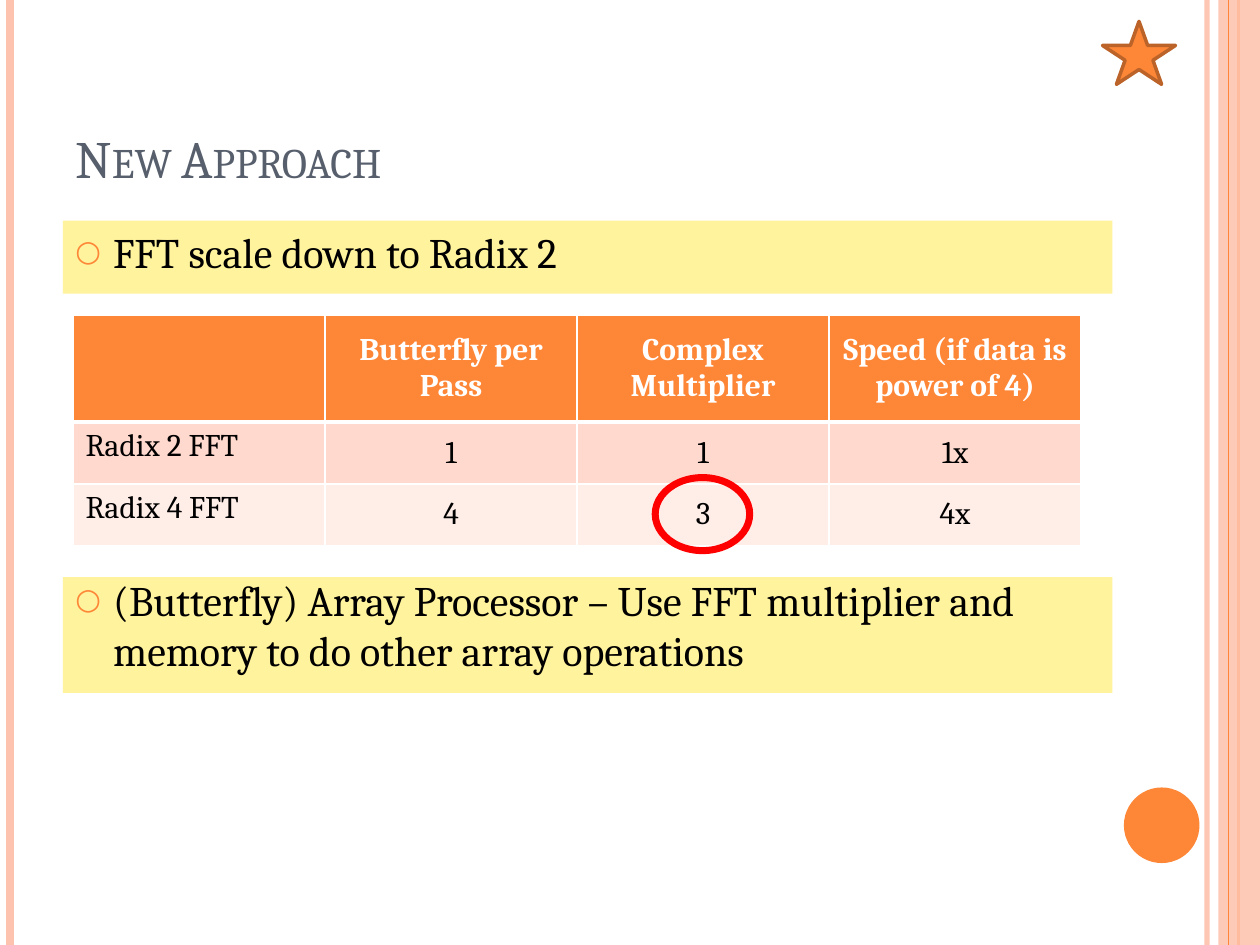
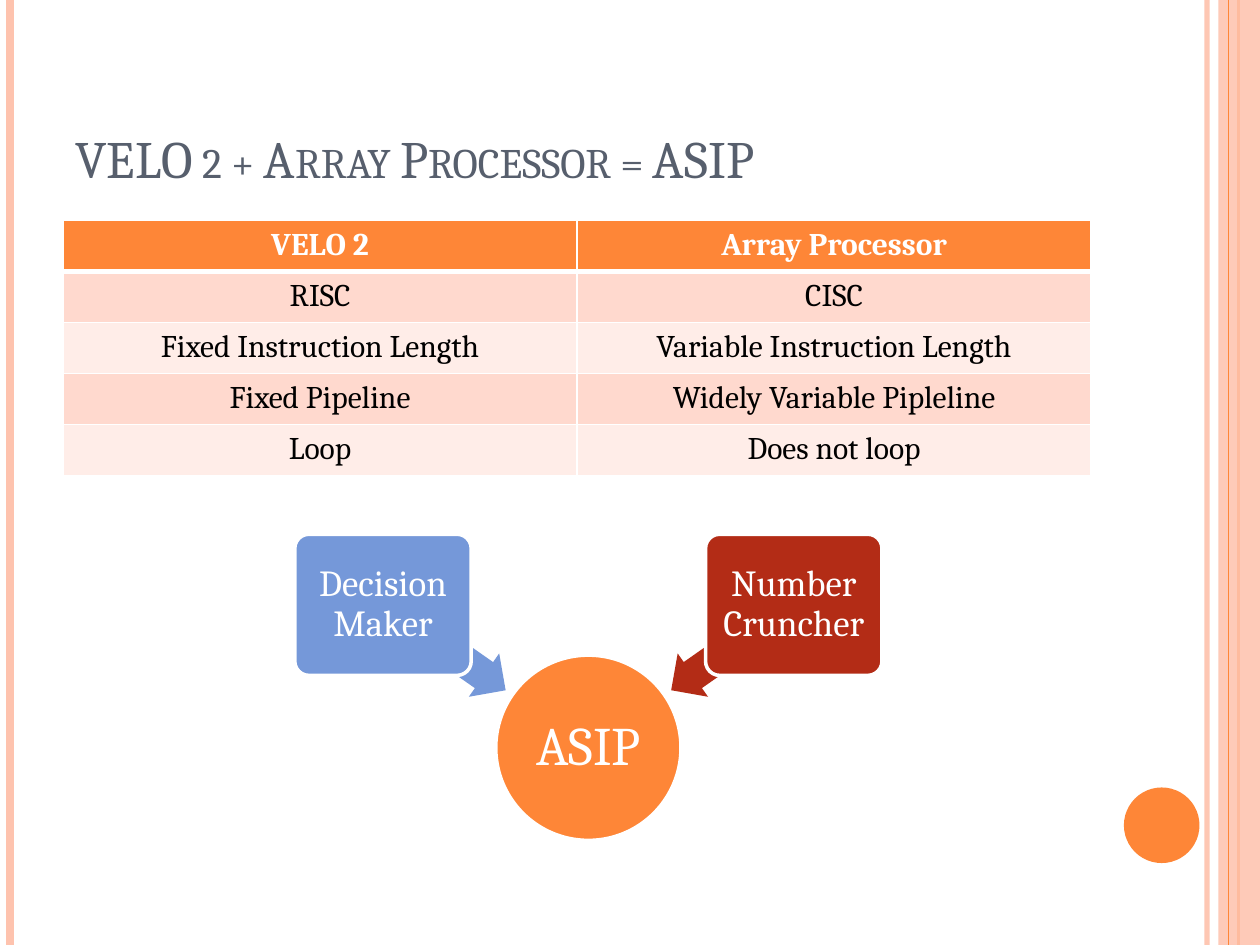
from dataclasses import dataclass

from lxml import etree
from pptx import Presentation
from pptx.dml.color import RGBColor
from pptx.enum import shapes as kinds, text as txt
from pptx.oxml.ns import qn
from pptx.util import Inches, Pt


@dataclass(frozen=True)
class Theme:
    font: str = "Cambria"
    orange: str = "FE8637"
    peach: str = "FEC3AE"
    yellow: str = "FFF39D"
    slate: str = "575F6D"
    blue: str = "7598D9"
    brick: str = "B32C16"
    rust: str = "BC6329"
    red: str = "FF0000"
    white: str = "FFFFFF"
    black: str = "000000"
    rows: tuple = ("FFD9CE", "FFEDE8")
    title: int = 30
    body: int = 24
    cell: int = 18
    hub: int = 31
    box: int = 21


T = Theme()
A = txt.PP_ALIGN
V = txt.MSO_ANCHOR
S = kinds.MSO_SHAPE

# Content
TITLES = ["New Approach", "VELO 2 + Array Processor = ASIP"]
# words, band top, band height, text top
POINTS = [
    ("FFT scale down to Radix 2", 1.75, 0.58, 1.75),
    ("(Butterfly) Array Processor – Use FFT multiplier and memory "
     "to do other array operations", 4.58, 0.92, 4.51),
]
RADIX = [
    ["", "Butterfly per Pass", "Complex Multiplier",
     "Speed (if data is power of 4)"],
    ["Radix 2 FFT", "1", "1", "1x"],
    ["Radix 4 FFT", "4", "3", "4x"],
]
CHIPS = [
    ["VELO 2", "Array Processor"],
    ["RISC", "CISC"],
    ["Fixed Instruction Length", "Variable Instruction Length"],
    ["Fixed Pipeline", "Widely Variable Pipleline"],
    ["Loop", "Does not loop"],
]
# words, colour, side of the hub, arrow turn
INPUTS = [("Decision Maker", T.blue, -1, 215),
          ("Number Cruncher", T.brick, 1, 325)]
HUB = "ASIP"
# x, colour, width, opacity
RAILS = [(9.58, T.peach, 3, 93), (0.08, T.peach, 4.5, 100),
         (9.83, T.orange, 1.5, 100), (9.75, T.orange, 0.75, 100)]


def rgb(tone):
    return RGBColor.from_string(tone)


def fade(part, pct):
    """Set the opacity of the first colour in a part."""
    if pct < 100:
        tone = next(part.element.iter(qn("a:srgbClr")))
        etree.SubElement(tone, qn("a:alpha"), val=str(pct * 1000))


def put(frame, words, size, tone=T.black, bold=False, align=A.LEFT,
        anchor=V.TOP, inset=None, space=None, small=False, bullet=False):
    """Write words into a text frame or a table cell."""
    cell = not hasattr(frame, "word_wrap")
    body = frame.text_frame if cell else frame
    frame.vertical_anchor = anchor
    if not cell:
        body.word_wrap = True
        body.auto_size = txt.MSO_AUTO_SIZE.NONE
    if inset is not None:
        body.margin_left = body.margin_right = Inches(inset)
        body.margin_top = body.margin_bottom = Inches(inset)
    par = body.paragraphs[0]
    par.alignment = align
    if space:
        par.line_spacing = space
    if bullet:
        mark(par)
    if not words:
        return
    run = par.add_run()
    run.text = words
    font = run.font
    font.name, font.size, font.bold = T.font, Pt(size), bold
    font.color.rgb = rgb(tone)
    if small:
        font._element.set("cap", "small")


def mark(par):
    """Give a paragraph a hanging ring bullet."""
    ppr = par._p.get_or_add_pPr()
    ppr.set("marL", str(Inches(0.3)))
    ppr.set("indent", str(-Inches(0.3)))
    tone = etree.SubElement(ppr, qn("a:buClr"))
    etree.SubElement(tone, qn("a:srgbClr"), val=T.orange)
    etree.SubElement(ppr, qn("a:buSzPct"), val="70000")
    etree.SubElement(ppr, qn("a:buFont"), typeface=T.font)
    etree.SubElement(ppr, qn("a:buChar"), char="○")


def draw(slide, kind, x, y, w, h, fill=None, line=None, width=1):
    part = slide.shapes.add_shape(kind, *map(Inches, (x, y, w, h)))
    part.shadow.inherit = False
    if fill:
        part.fill.solid()
        part.fill.fore_color.rgb = rgb(fill)
    else:
        part.fill.background()
    if line:
        part.line.color.rgb = rgb(line)
        part.line.width = Pt(width)
    else:
        part.line.fill.background()
    return part


def rail(slide, x, tone, width, pct):
    part = slide.shapes.add_connector(
        kinds.MSO_CONNECTOR.STRAIGHT, Inches(x), 0, Inches(x), Inches(7.5))
    part.line.color.rgb = rgb(tone)
    part.line.width = Pt(width)
    fade(part, pct)
    etree.SubElement(part.element.spPr, qn("a:effectLst"))
    return part


def frame(slide, layout):
    """Draw the shared side rails and disc, and move them to the layout."""
    parts = [rail(slide, *item) for item in RAILS]
    band = draw(slide, S.RECTANGLE, 9.67, 0, 0.33, 7.5, T.peach)
    fade(band, 87)
    parts.insert(3, band)
    parts.append(draw(slide, S.OVAL, 8.92, 6.25, 0.6, 0.6, T.orange))
    for n, part in enumerate(parts):
        next(part.element.iter(qn("p:cNvPr"))).set("id", str(100 + n))
        layout.shapes.element.insert(2 + n, part.element)


def head(slide, words):
    title = slide.shapes.title
    title.left, title.top = Inches(0.5), Inches(0.3)
    title.width, title.height = Inches(8.17), Inches(1.25)
    put(title.text_frame, words, T.title, T.slate, anchor=V.BOTTOM,
        small=True)


def edge(cell, top, base):
    """Draw white cell borders; top and base are widths in points."""
    props = cell._tc.get_or_add_tcPr()
    for side, width in (("L", 1), ("R", 1), ("T", top), ("B", base)):
        line = etree.SubElement(props, qn("a:ln" + side), w=str(Pt(width)))
        fill = etree.SubElement(line, qn("a:solidFill"))
        etree.SubElement(fill, qn("a:srgbClr"), val=T.white)


def grid(slide, data, x, y, w, highs, anchor=V.TOP, label=False):
    """Add a table; label sets the first body column to top left."""
    cols = len(data[0])
    table = slide.shapes.add_table(
        len(data), cols, *map(Inches, (x, y, w, sum(highs)))).table
    for col in table.columns:
        col.width = Inches(w / cols)
    for r, row in enumerate(data):
        table.rows[r].height = Inches(highs[r])
        for c, words in enumerate(row):
            cell = table.cell(r, c)
            edge(cell, 3 if r == 1 else 1, 3 if r == 0 else 1)
            cell.fill.solid()
            cell.fill.fore_color.rgb = rgb(T.rows[(r - 1) % 2] if r
                                           else T.orange)
            side = label and r and not c
            put(cell, words, T.cell, T.black if r else T.white, bold=not r,
                align=A.LEFT if side else A.CENTER,
                anchor=V.TOP if side else anchor)


def plan(slide):
    for words, top, high, start in POINTS:
        draw(slide, S.RECTANGLE, 0.5, top, 8.33, high, T.yellow)
        box = slide.shapes.add_textbox(
            *map(Inches, (0.5, start, 8.17, high)))
        put(box.text_frame, words, T.body, bullet=True)
    grid(slide, RADIX, 0.58, 2.5, 8, [0.85, 0.49, 0.49], V.MIDDLE, True)
    draw(slide, S.OVAL, 5.2, 3.79, 0.75, 0.58, line=T.red, width=4)
    draw(slide, S.STAR_5_POINT, 8.75, 0.17, 0.58, 0.5, T.orange, T.rust, 2)


def merge(slide):
    grid(slide, CHIPS, 0.5, 1.75, 8.16, [0.405] * len(CHIPS))
    mid, disc, wide = 4.67, 1.47, 1.4
    hub = draw(slide, S.OVAL, mid - disc / 2, 5.2, disc, disc,
               T.orange, T.white, 2)
    put(hub.text_frame, HUB, T.hub, T.white, align=A.CENTER,
        anchor=V.MIDDLE, inset=0.02, space=0.9)
    for words, tone, side, turn in INPUTS:
        arrow = draw(slide, S.LEFT_ARROW, mid + side * 1.14 - 0.59, 4.93,
                     1.18, 0.42, tone)
        arrow.adjustments[0], arrow.adjustments[1] = 0.6, 0.5
        arrow.rotation = turn
        box = draw(slide, S.ROUNDED_RECTANGLE, mid + side * 1.63 - wide / 2,
                   4.24, wide, 1.12, tone, T.white, 2)
        box.adjustments[0] = 0.1
        put(box.text_frame, words, T.box, T.white, align=A.CENTER,
            anchor=V.MIDDLE, inset=0.04, space=0.9)


def main():
    deck = Presentation()
    deck.slide_width, deck.slide_height = Inches(10), Inches(7.5)
    layout = deck.slide_layouts[5]
    for n, (words, fill) in enumerate(zip(TITLES, (plan, merge))):
        slide = deck.slides.add_slide(layout)
        if n == 0:
            frame(slide, layout)
        head(slide, words)
        fill(slide)
    deck.save("out.pptx")


if __name__ == "__main__":
    main()
